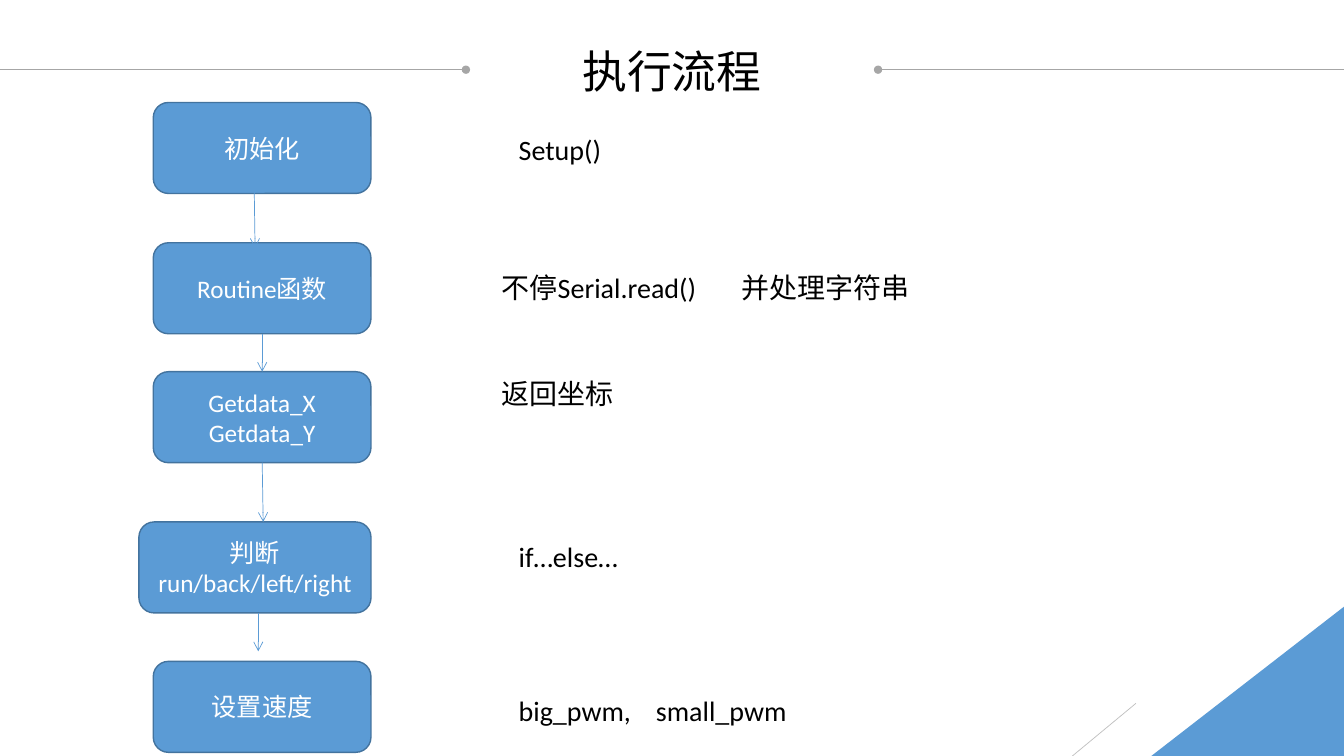
from lxml import etree
from pptx import Presentation
from pptx.dml.color import RGBColor
from pptx.enum.shapes import MSO_CONNECTOR, MSO_SHAPE
from pptx.enum.text import MSO_ANCHOR, MSO_AUTO_SIZE, PP_ALIGN
from pptx.oxml.ns import qn
from pptx.util import Pt

STRAIGHT = MSO_CONNECTOR.STRAIGHT
ROUNDED = MSO_SHAPE.ROUNDED_RECTANGLE
MIDDLE = MSO_ANCHOR.MIDDLE
CENTER = PP_ALIGN.CENTER
LEFT = PP_ALIGN.LEFT
NO_AUTOFIT = MSO_AUTO_SIZE.NONE

BLACK = RGBColor(0x00, 0x00, 0x00)
WHITE = RGBColor(0xFF, 0xFF, 0xFF)
BLUE = RGBColor(0x5B, 0x9B, 0xD5)
DARK_BLUE = RGBColor(0x43, 0x73, 0x9E)
GRAY = RGBColor(0xA6, 0xA6, 0xA6)
LIGHT_GRAY = RGBColor(0xBF, 0xBF, 0xBF)
CJK_FONT = "Noto Sans CJK SC"


def write(frame, text, size, color, align, font="Calibri"):
    frame.text = text
    for paragraph in frame.paragraphs:
        paragraph.alignment = align
        for run in paragraph.runs:
            run.font.size = Pt(size)
            run.font.name = font
            run.font.color.rgb = color
            east_asian = etree.SubElement(run.font._element, qn("a:ea"))
            east_asian.set("typeface", CJK_FONT)


def draw_line(x1, y1, x2, y2, color, ending=None):
    line = slide.shapes.add_connector(STRAIGHT, Pt(x1), Pt(y1), Pt(x2), Pt(y2))
    line.line.color.rgb = color
    line.line.width = Pt(0.5)
    if ending:
        etree.SubElement(line.line._get_or_add_ln(), qn("a:tailEnd")).set("type", ending)
    etree.SubElement(line._element.spPr, qn("a:effectLst"))


prs = Presentation()
prs.slide_width = Pt(960)
prs.slide_height = Pt(540)
slide = prs.slides.add_slide(prs.slide_layouts[5])

for outer_x, inner_x in [(0, 332.8), (960, 627.2)]:
    draw_line(outer_x, 49.8, inner_x, 49.8, GRAY, "oval")

title = slide.shapes.title
title.left, title.top, title.width, title.height = Pt(408.8), Pt(27.4), Pt(142.4), Pt(46)
title.text_frame.margin_left = title.text_frame.margin_right = Pt(0)
title.text_frame.word_wrap = True
title.text_frame.auto_size = NO_AUTOFIT
title.text_frame.vertical_anchor = MIDDLE
write(title.text_frame, "执行流程", 32, BLACK, CENTER, CJK_FONT)

steps = [
    ("初始化", 109.5, 73.2, 155.5),
    ("Routine函数", 109.5, 173.4, 155.5),
    ("Getdata_X\nGetdata_Y", 109.5, 265.5, 155.5),
    ("判断\nrun/back/left/right", 99.2, 372.8, 165.8),
    ("设置速度", 109.5, 472.4, 155.5),
]
for label, left, top, width in steps:
    step = slide.shapes.add_shape(ROUNDED, Pt(left), Pt(top), Pt(width), Pt(65))
    step.shadow.inherit = False
    step.fill.solid()
    step.fill.fore_color.rgb = BLUE
    step.line.color.rgb = DARK_BLUE
    step.line.width = Pt(1)
    step.text_frame.word_wrap = True
    step.text_frame.vertical_anchor = MIDDLE
    write(step.text_frame, label, 18, WHITE, CENTER)

arrows = [
    (181.6, 134.8, 182.2, 177),
    (187.3, 238.4, 187.3, 265.5),
    (187.3, 330.5, 188, 372.8),
    (184.5, 438.2, 184.5, 465.2),
]
for x1, y1, x2, y2 in arrows:
    draw_line(x1, y1, x2, y2, BLUE, "arrow")

notes = [
    ("Setup()", 363.4, 90.9, 419, None),
    ("不停Serial.read()\t并处理字符串", 351.2, 189.4, 419, 171),
    ("返回坐标", 351.2, 265.5, 355, None),
    ("if…else…", 363.4, 381.8, 355, None),
    ("big_pwm,\tsmall_pwm", 363.4, 491.5, 355, 98),
]
for text, left, top, width, tab_stop in notes:
    note = slide.shapes.add_textbox(Pt(left), Pt(top), Pt(width), Pt(31.5))
    note.text_frame.word_wrap = True
    write(note.text_frame, text, 20, BLACK, LEFT)
    if tab_stop:
        properties = note.text_frame.paragraphs[0]._p.get_or_add_pPr()
        tabs = etree.SubElement(properties, qn("a:tabLst"))
        etree.SubElement(tabs, qn("a:tab"), pos=str(Pt(tab_stop)), algn="l")

outline = slide.shapes.build_freeform(Pt(960), Pt(433.4))
outline.add_line_segments([(Pt(960), Pt(540)), (Pt(822.4), Pt(540))], close=True)
corner = outline.convert_to_shape()
corner.shadow.inherit = False
corner.fill.solid()
corner.fill.fore_color.rgb = BLUE
corner.line.fill.background()

draw_line(811.4, 502.4, 766, 540, LIGHT_GRAY)

prs.save("out.pptx")
